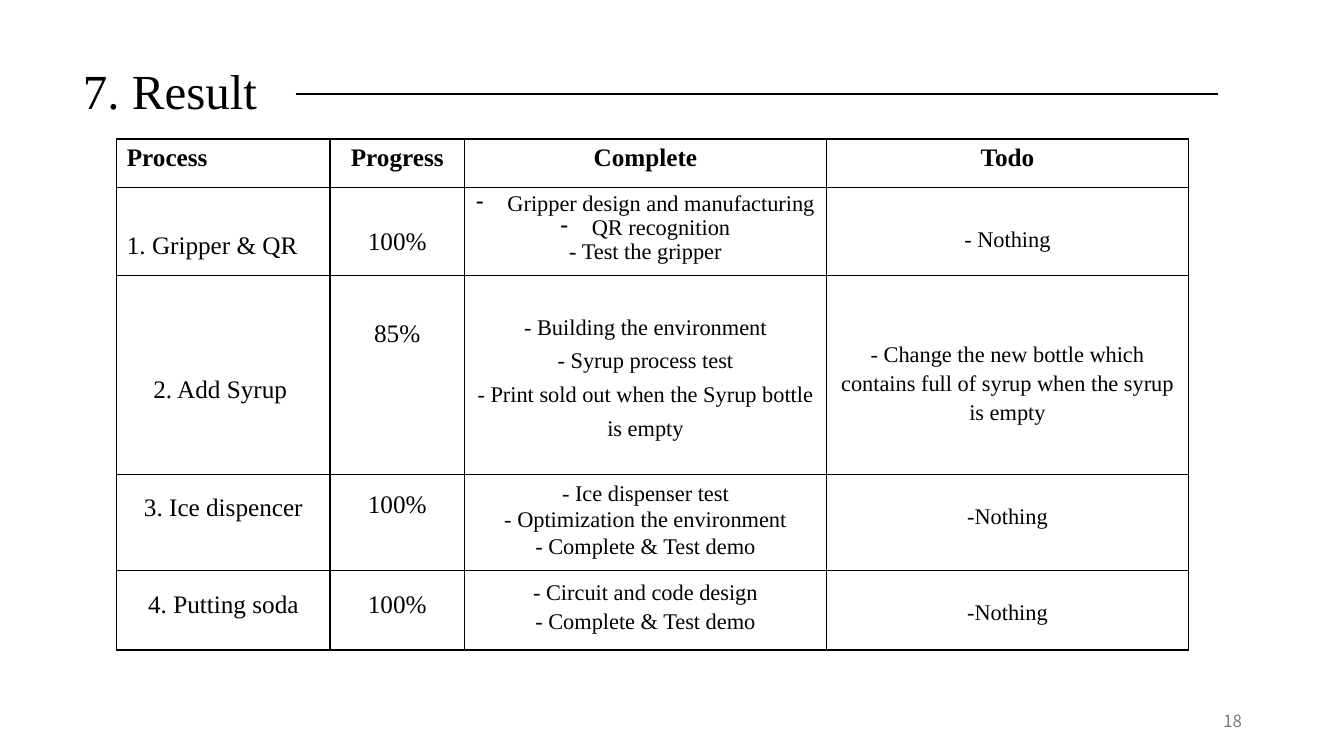
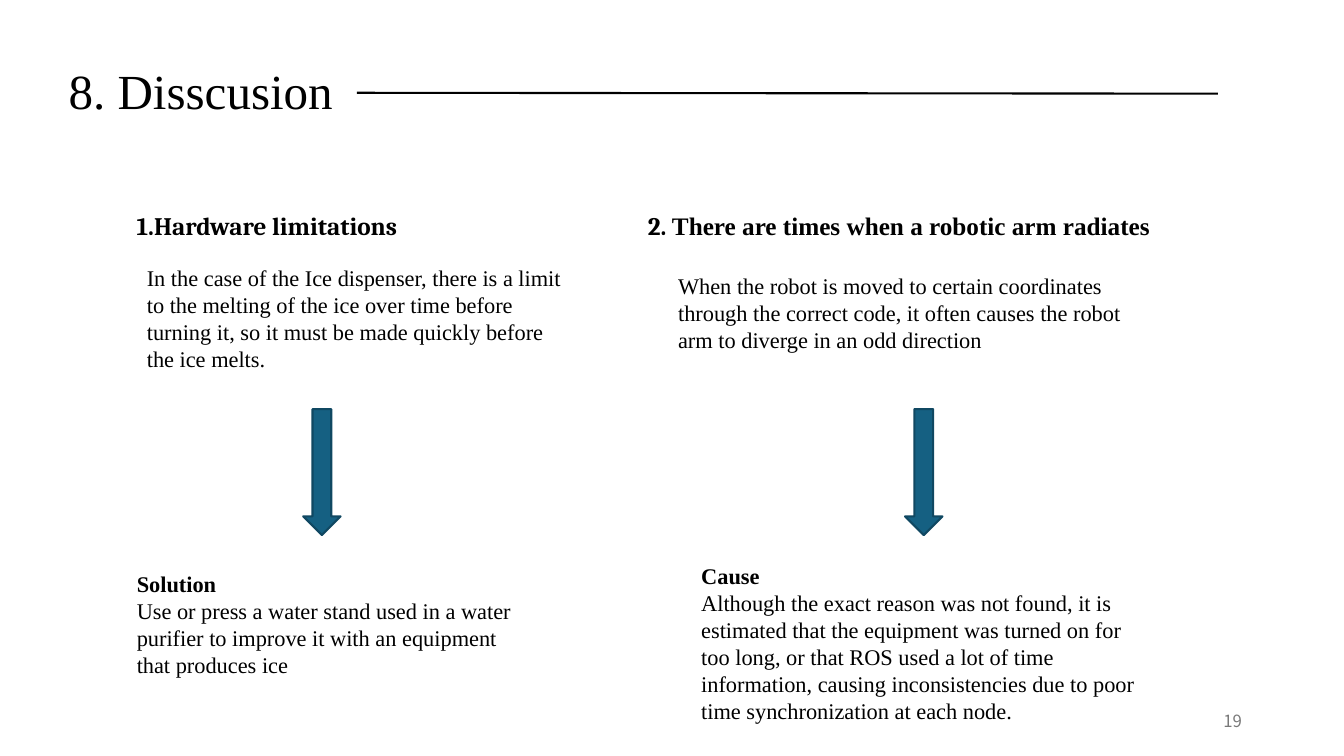
from lxml import etree
from pptx import Presentation, util as u
from pptx.dml.color import RGBColor
from pptx.enum import shapes, text
from pptx.oxml import ns

BLACK = RGBColor(0x00, 0x00, 0x00)
GREY = RGBColor(0x79, 0x79, 0x79)
TEAL = RGBColor(0x15, 0x60, 0x82)
DARK_TEAL = RGBColor(0x10, 0x48, 0x62)

SERIF, HEADING, SANS = "Times New Roman", "Cambria", "Noto Sans CJK KR"
LEFT, CENTER, RIGHT = text.PP_ALIGN.LEFT, text.PP_ALIGN.CENTER, text.PP_ALIGN.RIGHT
MIDDLE = text.MSO_ANCHOR.MIDDLE
COLS, ROWS = 32, 18


def apply(obj, values):
    for name, value in values.items():
        setattr(obj, name, value)


def sub(parent, tag, **attrs):
    return etree.SubElement(parent, ns.qn(tag), attrs)


class Deck:
    def __init__(self):
        self.prs = Presentation()
        apply(self.prs, {"slide_width": u.Inches(13.33), "slide_height": u.Inches(7.5)})
        self.s = None

    def x(self, cols):
        return round(self.prs.slide_width * cols / COLS)

    def y(self, rows):
        return round(self.prs.slide_height * rows / ROWS)

    def box(self, left, top, width, height):
        return self.x(left), self.y(top), self.x(width), self.y(height)

    def run(self, p, words, size, font=SERIF, color=BLACK, bold=False):
        r = p.add_run()
        r.text = words
        apply(r.font, {"size": u.Pt(size), "name": font, "bold": bold})
        r.font.color.rgb = color

    def slide(self, title, number, width, line_top):
        self.s = self.prs.slides.add_slide(self.prs.slide_layouts[5])
        sp = self.s.shapes.title
        area = self.box(1.06, 0.5, width, 3.48)
        apply(sp, dict(zip(("left", "top", "width", "height"), area)))
        tf = sp.text_frame
        apply(tf, {"vertical_anchor": MIDDLE, "word_wrap": True,
                   "auto_size": text.MSO_AUTO_SIZE.NONE})
        p = tf.paragraphs[0]
        apply(p, {"alignment": CENTER, "line_spacing": 0.9})
        self.run(p, title, 35)
        self.rule(1.06 + width, line_top, 29, 2.23)
        self.text(22.61, 16.68, 7.2, 0.96, [[(str(number), 12, SANS, GREY)]],
                  align=RIGHT, anchor=MIDDLE)

    def rule(self, left, top, right, bottom):
        sp = self.s.shapes.add_connector(shapes.MSO_CONNECTOR.STRAIGHT, self.x(left),
                                         self.y(top), self.x(right), self.y(bottom))
        sp.line.color.rgb = BLACK
        sp.line.width = u.Pt(1.5)
        sub(sp._element.spPr, "a:effectLst")

    def text(self, left, top, width, height, paragraphs, align=LEFT,
             anchor=text.MSO_ANCHOR.TOP):
        sp = self.s.shapes.add_textbox(*self.box(left, top, width, height))
        tf = sp.text_frame
        apply(tf, {"word_wrap": True, "vertical_anchor": anchor})
        for i, runs in enumerate(paragraphs):
            p = tf.add_paragraph() if i else tf.paragraphs[0]
            p.alignment = align
            for r in runs:
                self.run(p, *r)

    def arrow(self, left, top):
        sp = self.s.shapes.add_shape(shapes.MSO_SHAPE.DOWN_ARROW,
                                     *self.box(left, top, 0.89, 3))
        sp.shadow.inherit = False
        sp.fill.solid()
        sp.fill.fore_color.rgb = TEAL
        sp.line.color.rgb = DARK_TEAL
        sp.line.width = u.Pt(1.5)

    def borders(self, cell):
        tcPr = cell._tc.get_or_add_tcPr()
        for side in ("a:lnL", "a:lnR", "a:lnT", "a:lnB"):
            ln = sub(tcPr, side, w=str(u.Pt(1)))
            sub(sub(ln, "a:solidFill"), "a:srgbClr", val=str(BLACK))

    def bullet(self, p):
        pPr = p._p.get_or_add_pPr()
        indent = u.Inches(0.31)
        pPr.set("marL", str(indent))
        pPr.set("indent", str(-indent))
        sub(pPr, "a:buChar", char="-")

    def cell(self, cell, lines, size, margin=0.12, spacing=1.0, align=CENTER,
             bold=False, bullets=0):
        cell.margin_top = self.y(margin)
        self.borders(cell)
        cell.fill.background()
        tf = cell.text_frame
        for i, line in enumerate(lines):
            p = tf.add_paragraph() if i else tf.paragraphs[0]
            if i < bullets:
                self.bullet(p)
            apply(p, {"alignment": align, "line_spacing": spacing})
            self.run(p, line, size, bold=bold)

    def table(self, left, top, widths, heights, rows):
        area = self.box(left, top, sum(widths), sum(heights))
        tbl = self.s.shapes.add_table(len(heights), len(widths), *area).table
        apply(tbl, {"first_row": False, "horz_banding": False})
        for col, width in zip(tbl.columns, widths):
            col.width = self.x(width)
        for row, height, cells in zip(tbl.rows, heights, rows):
            row.height = self.y(height)
            for cell, values in zip(row.cells, cells):
                self.cell(cell, **values)


def head(words, align=CENTER):
    return {"lines": [words], "size": 18, "bold": True, "align": align}


def label(words, margin, align=CENTER):
    return {"lines": [words], "size": 18, "margin": margin, "align": align}


def notes(margin, spacing, *lines, bullets=0):
    return {"lines": lines, "size": 16, "margin": margin, "spacing": spacing,
            "bullets": bullets}


def result(deck):
    deck.slide("7. Result", 18, 5.98, 2.23)
    deck.table(2.78, 3.31, [5.08, 3.2, 8.62, 8.62], [1.15, 2.02, 4.74, 2.19, 1.9], [
        [head("Process", LEFT), head("Progress"), head("Complete"), head("Todo")],
        [label("1. Gripper & QR", 1.06, LEFT), label("100%", 0.98),
         notes(0.12, 0.97, "Gripper design and manufacturing", "QR recognition",
               "- Test the gripper", bullets=2),
         notes(0.96, 1.0, "- Nothing")],
        [label("2. Add Syrup ", 2.38), label("85%", 1.06),
         notes(0.74, 1.35, "- Building the environment", "- Syrup process test",
               "- Print sold out when the Syrup bottle is empty"),
         notes(1.49, 1.17, "- Change the new bottle which contains full of syrup "
               "when the syrup is empty")],
        [label("3. Ice dispencer", 0.46), label("100%", 0.38),
         notes(0.14, 1.05, "- Ice dispenser test", "- Optimization the environment",
               "- Complete & Test demo"),
         notes(0.72, 1.0, "-Nothing")],
        [label("4. Putting soda", 0.5), label("100%", 0.5),
         notes(0.14, 1.17, "- Circuit and code design", "- Complete & Test demo"),
         notes(0.72, 1.0, "-Nothing")],
    ])


def discussion(deck):
    deck.slide("8. Disscusion", 19, 7.44, 2.21)
    deck.text(3.02, 4.9, 12.6, 0.96,
              [[("1.Hardware limitations", 18, HEADING, BLACK, True)]])
    deck.text(15.19, 4.9, 12.6, 0.96,
              [[("2. ", 18, HEADING, BLACK, True),
                ("There are times when a robotic arm radiates", 18, SERIF, BLACK, True)]])
    deck.text(3.26, 6.17, 10.63, 2.83,
              [[("In the case of the Ice dispenser, there is a limit to the melting of "
                 "the ice over time before turning it, so it must be made quickly before "
                 "the ice melts.", 16)]])
    deck.text(15.91, 6.36, 11.16, 2.18,
              [[("When the robot is moved to certain coordinates through the correct "
                 "code, it often causes the robot arm to diverge in an odd direction", 16)]])
    for left in (7.22, 21.55):
        deck.arrow(left, 9.74)
    deck.text(3.02, 13.46, 9.6, 2.83,
              [[("Solution", 16, SERIF, BLACK, True)],
               [("Use or press a water stand used in a water purifier to improve it with "
                 "an equipment that produces ice", 16)]])
    deck.text(16.46, 13.27, 11.06, 4.13,
              [[("Cause", 16, SERIF, BLACK, True)],
               [("Although the exact reason was not found, it is estimated that the "
                 "equipment was turned on for too long, or that ROS used a lot of time "
                 "information, causing inconsistencies due to poor time synchronization "
                 "at each node.", 16)]])


def main():
    deck = Deck()
    result(deck)
    discussion(deck)
    deck.prs.save("out.pptx")


if __name__ == "__main__":
    main()
